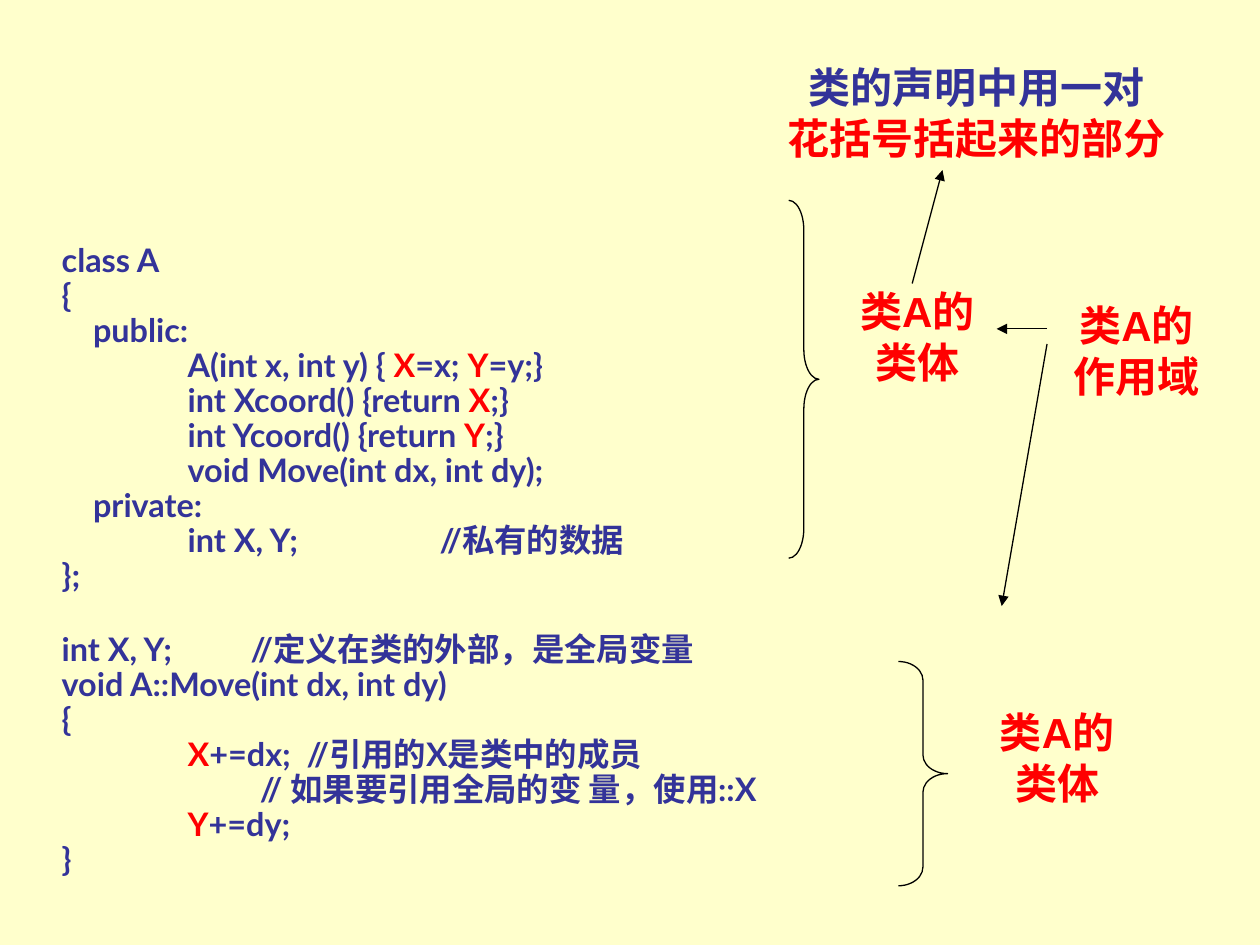
from dataclasses import dataclass

from lxml import etree
from pptx import Presentation
from pptx.dml.color import RGBColor
from pptx.enum.shapes import MSO_CONNECTOR, MSO_SHAPE
from pptx.enum.text import MSO_ANCHOR, PP_ALIGN
from pptx.oxml.ns import qn
from pptx.util import Inches, Pt


@dataclass(frozen=True)
class Theme:
    background: RGBColor = RGBColor(0xFF, 0xFF, 0xCC)
    text: RGBColor = RGBColor(0x33, 0x33, 0x99)
    accent: RGBColor = RGBColor(0xFF, 0x00, 0x00)
    line: RGBColor = RGBColor(0x00, 0x00, 0x00)
    code_font: str = "Lato"
    label_font: str = "Arial"
    code_size: Pt = Pt(18.5)
    label_size: Pt = Pt(24)
    line_width: Pt = Pt(0.75)


THEME = Theme()

# Text between bars is in the accent colour.
CLASS_CODE = """class A
{
    public:
\tA(int x, int y) { |X|=x; |Y|=y;}
\tint Xcoord() {return |X|;}
\tint Ycoord() {return |Y|;}
\tvoid Move(int dx, int dy);
    private:
\tint X, Y; \t\t//私有的数据
};"""

MOVE_CODE = """int X, Y;          //定义在类的外部，是全局变量
void A::Move(int dx, int dy)
{
\t|X|+=dx;  //引用的X是类中的成员
                           // 如果要引用全局的变 量，使用::X
\t|Y|+=dy;
}"""


def add_label(left, top, width, lines, wrap=True):
    """Add a centred bold label; lines are (text, colour) pairs."""
    box = slide.shapes.add_textbox(Inches(left), Inches(top), Inches(width), Inches(0.9))
    frame = box.text_frame
    frame.word_wrap = wrap
    for i, (text, color) in enumerate(lines):
        paragraph = frame.paragraphs[0] if i == 0 else frame.add_paragraph()
        paragraph.text = text
        paragraph.alignment = PP_ALIGN.CENTER
        paragraph.font.name = THEME.label_font
        paragraph.font.size = THEME.label_size
        paragraph.font.bold = True
        paragraph.font.color.rgb = color


prs = Presentation()
prs.slide_width, prs.slide_height = Inches(10), Inches(7.5)
slide = prs.slides.add_slide(prs.slide_layouts[6])
slide.background.fill.solid()
slide.background.fill.fore_color.rgb = THEME.background

# Code listing
code_box = slide.shapes.add_textbox(Inches(0.47), Inches(0.99), Inches(9.57), Inches(6.03))
code = code_box.text_frame
code.word_wrap = True
code.vertical_anchor = MSO_ANCHOR.BOTTOM
code.margin_left = code.margin_right = Inches(0.02)
for i, block in enumerate((CLASS_CODE, MOVE_CODE)):
    paragraph = code.paragraphs[0] if i == 0 else code.add_paragraph()
    paragraph.line_spacing = 0.9
    if i:
        paragraph.space_before = Pt(22)
    tabs = etree.SubElement(paragraph._p.get_or_add_pPr(), qn("a:tabLst"))
    for stop in range(8):
        etree.SubElement(tabs, qn("a:tab"), pos=str(Inches(stop)), algn="l")
    paragraph.font.name = THEME.code_font
    paragraph.font.size = THEME.code_size
    paragraph.font.bold = True
    for row, line in enumerate(block.split("\n")):
        if row:
            paragraph.add_line_break()
        for part, text in enumerate(line.split("|")):
            if text:
                run = paragraph.add_run()
                run.text = text
                run.font.color.rgb = THEME.accent if part % 2 else THEME.text

# Labels
add_label(8.39, 2.33, 1.26, [("类A的作用域", THEME.accent)])
for left, top in ((6.65, 2.22), (7.76, 5.56)):
    add_label(left, top, 1.26, [("类A的类体", THEME.accent)])
add_label(6.15, 0.44, 3.2,
          [("类的声明中用一对", THEME.text), ("花括号括起来的部分", THEME.accent)], wrap=False)

# Braces around the class body and the member function
for left, top, width, height in ((6.26, 1.59, 0.24, 2.84), (7.13, 5.25, 0.39, 1.78)):
    brace = slide.shapes.add_shape(MSO_SHAPE.RIGHT_BRACE, Inches(left), Inches(top),
                                   Inches(width), Inches(height))
    brace.adjustments[0] = height / 12 / width
    brace.shadow.inherit = False
    brace.fill.background()
    brace.line.color.rgb = THEME.line
    brace.line.width = THEME.line_width

# Arrows from scope to bodies, and from body to its explanation
for x1, y1, x2, y2 in ((8.31, 2.61, 7.91, 2.61), (8.31, 2.73, 7.95, 4.81),
                       (7.24, 2.25, 7.48, 1.35)):
    arrow = slide.shapes.add_connector(MSO_CONNECTOR.STRAIGHT, Inches(x1), Inches(y1),
                                       Inches(x2), Inches(y2))
    arrow.line.color.rgb = THEME.line
    arrow.line.width = THEME.line_width
    etree.SubElement(arrow.line._get_or_add_ln(), qn("a:tailEnd"), type="triangle")
    etree.SubElement(arrow._element.spPr, qn("a:effectLst"))

prs.save("out.pptx")
